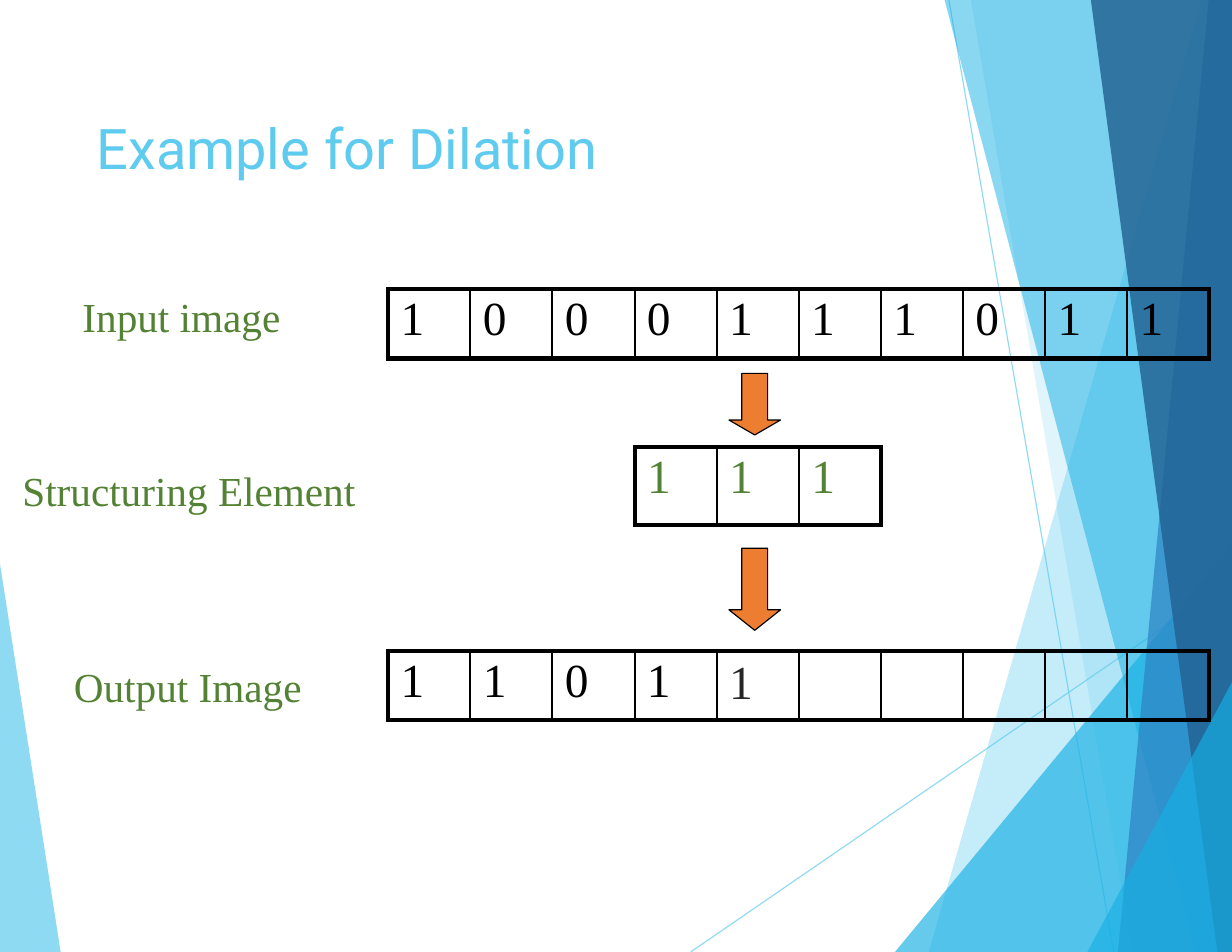
from pptx import Presentation
from pptx.util import Pt
from pptx.dml.color import RGBColor
from pptx.enum.shapes import MSO_CONNECTOR as CONN, MSO_SHAPE as SHAPE
from pptx.oxml.ns import qn
from lxml.etree import SubElement as Sub

SKY = RGBColor(0x5F, 0xCB, 0xEF)
CYAN = RGBColor(0x17, 0xB0, 0xE4)
BLUE = RGBColor(0x2E, 0x83, 0xC3)
NAVY = RGBColor(0x22, 0x62, 0x92)
GREEN = RGBColor(0x54, 0x82, 0x35)
ORANGE = RGBColor(0xED, 0x7D, 0x31)
BLACK = RGBColor(0, 0, 0)
GREY = RGBColor(0x26, 0x26, 0x26)
SERIF = "Times New Roman"
W, H = 792, 612
COL = 52.8


def fade(shape, pct):
    for clr in shape._element.spPr.iter(qn("a:srgbClr")):
        Sub(clr, qn("a:alpha"), val=str(pct * 1000))


def style(para, size, color, font, before):
    para.font.size = Pt(size)
    para.font.name = font
    para.font.color.rgb = color
    para.space_before = Pt(before)


prs = Presentation()
prs.slide_width, prs.slide_height = Pt(W), Pt(H)
slide = prs.slides.add_slide(prs.slide_layouts[6])
shapes = slide.shapes

for x1, y1, x2, y2 in [(444, H, W, 373), (610, 0, 716, H)]:
    line = shapes.add_connector(CONN.STRAIGHT, Pt(x1), Pt(y1), Pt(x2), Pt(y2))
    line.line.color.rgb = SKY
    line.line.width = Pt(0.75)
    fade(line, 70)
    Sub(line._element.spPr, qn("a:effectLst"))

facets = [
    ([(0, 362.5), (39, H), (0, H)], SKY, 70),
    ([(772.6, 0), (597, H), (W, H), (W, 0)], SKY, 36),
    ([(624.2, 0), (728, H), (W, H), (W, 0)], SKY, 20),
    ([(575.3, H), (W, 350), (W, H)], CYAN, 66),
    ([(607.2, 0), (768.4, H), (W, H), (W, 0)], CYAN, 50),
    ([(777, 0), (718.6, H), (W, H), (W, 0)], BLUE, 70),
    ([(701.3, 0), (782.6, H), (W, H), (W, 0)], NAVY, 82),
    ([(699, H), (W, 438.5), (W, H)], CYAN, 66),
]
for pts, color, pct in facets:
    grid = [(x * 10, y * 10) for x, y in pts]
    form = shapes.build_freeform(*grid[0], scale=Pt(0.1))
    form.add_line_segments(grid[1:])
    facet = form.convert_to_shape()
    facet.shadow.inherit = False
    facet.fill.solid()
    facet.fill.fore_color.rgb = color
    facet.line.fill.background()
    fade(facet, pct)

texts = [
    ("Example for Dilation", 62, 72, 472, 36, SKY, "Roboto", 1.4),
    ("Input image", 53, 186.5, 180, 26.5, GREEN, SERIF, 0.9),
    ("Structuring Element", 14.4, 298.2, 230, 26.5, GREEN, SERIF, 0.9),
    ("Output Image", 47.5, 424, 180, 26.5, GREEN, SERIF, 0.9),
]
for text, x, y, wide, size, color, font, before in texts:
    frame = shapes.add_textbox(Pt(x), Pt(y), Pt(wide), Pt(size * 1.25)).text_frame
    frame.word_wrap = True
    frame.margin_left = frame.margin_right = frame.margin_bottom = 0
    frame.margin_top = Pt(1)
    para = frame.paragraphs[0]
    para.text = text
    style(para, size, color, font, before)

rows = [
    ("1000111011", 249.6, 185.7, 44.8, [BLACK] * 10),
    ("111", 408, 287.3, 50.4, [GREEN] * 3),
    ("11011     ", 249.6, 418.3, 44.8, [BLACK] * 4 + [GREY] * 6),
]
for bits, x, y, tall, inks in rows:
    count = len(bits)
    table = shapes.add_table(1, count, Pt(x), Pt(y), Pt(COL * count), Pt(tall)).table
    table.first_row = table.horz_banding = False
    table.rows[0].height = Pt(tall)
    for i, (bit, ink) in enumerate(zip(bits, inks)):
        table.columns[i].width = Pt(COL)
        cell = table.cell(0, i)
        cell.margin_left = Pt(8)
        cell.margin_right = cell.margin_bottom = 0
        cell.margin_top = Pt(4 if ink == GREY else 3)
        para = cell.text_frame.paragraphs[0]
        para.text = bit.strip()
        style(para, 30.5, ink, SERIF, 3.1)
        prop = cell._tc.get_or_add_tcPr()
        left = 3 if i == 0 else 1.5
        right = 3 if i == count - 1 else 1.5
        for side, width in zip("LRTB", (left, right, 3, 3)):
            edge = Sub(prop, qn("a:ln" + side), w=str(Pt(width)))
            Sub(Sub(edge, qn("a:solidFill")), qn("a:srgbClr"), val=str(BLACK))
        cell.fill.background()

for y, tall, head in [(240, 39.6, 9.6), (352.4, 52.8, 13.2)]:
    wide = 33.2
    arrow = shapes.add_shape(SHAPE.DOWN_ARROW, Pt(468.6), Pt(y), Pt(wide), Pt(tall))
    arrow.adjustments[0] = 0.5
    arrow.adjustments[1] = head / wide
    arrow.shadow.inherit = False
    arrow.fill.solid()
    arrow.fill.fore_color.rgb = ORANGE
    arrow.line.color.rgb = BLACK
    arrow.line.width = Pt(0.75)

prs.save("out.pptx")
